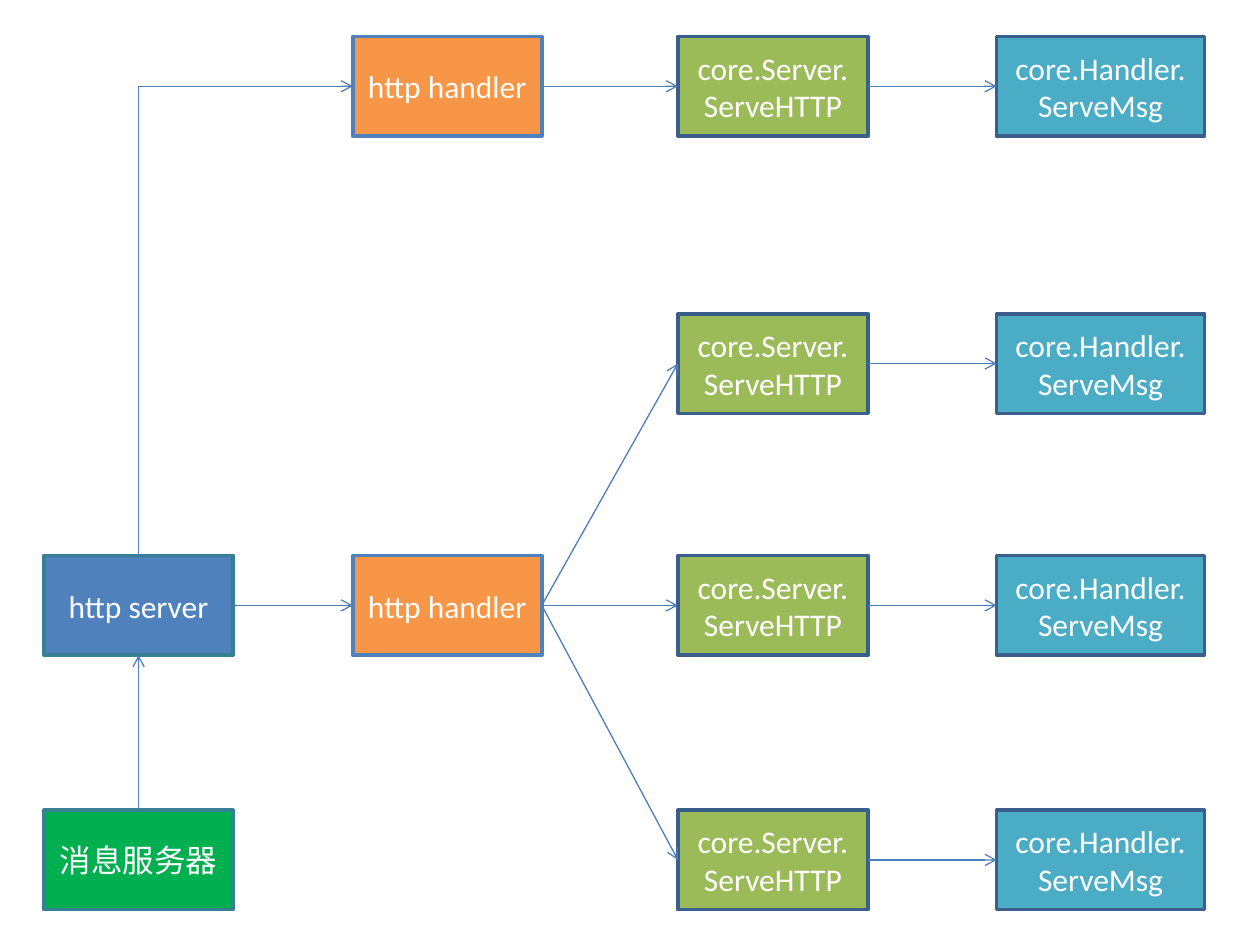
import pptx
import pptx.util
import pptx.dml.color
import pptx.enum.shapes
import pptx.enum.text
import pptx.oxml.ns
import lxml.etree

RGBColor = pptx.dml.color.RGBColor
Inches = pptx.util.Inches
qn = pptx.oxml.ns.qn

WHITE = RGBColor(0xFF, 0xFF, 0xFF)
BLUE = RGBColor(0x4F, 0x81, 0xBD)
ORANGE = RGBColor(0xF7, 0x96, 0x46)
OLIVE = RGBColor(0x9B, 0xBB, 0x59)
AQUA = RGBColor(0x4B, 0xAC, 0xC6)
GREEN = RGBColor(0x00, 0xB0, 0x50)
TEAL = RGBColor(0x37, 0x7F, 0x92)
NAVY = RGBColor(0x3A, 0x5F, 0x8C)
ARROW_BLUE = RGBColor(0x4B, 0x7E, 0xBC)

# Grid in inches: (left, width) of each column, top of each row
COLUMNS = [(0.35, 1.5), (2.8, 1.5), (5.38, 1.51), (7.91, 1.65)]
ROWS = [0.29, 2.49, 4.41, 6.43]
BOX_HEIGHT = 0.79

# Connection sites of a process box
TOP, LEFT, BOTTOM, RIGHT = range(4)


def write(frame, text, size=18, font="Calibri", color=WHITE):
    """Fill a text frame with centred lines, one paragraph per line."""
    frame.word_wrap = True
    frame.vertical_anchor = pptx.enum.text.MSO_ANCHOR.MIDDLE
    for number, line in enumerate(text.split("\n")):
        paragraph = frame.add_paragraph() if number else frame.paragraphs[0]
        paragraph.alignment = pptx.enum.text.PP_ALIGN.CENTER
        run = paragraph.add_run()
        run.text = line
        run.font.size = pptx.util.Pt(size)
        run.font.name = font
        run.font.color.rgb = color


class FlowChart:
    """Holds the style and the current slide."""

    border = pptx.util.Pt(2)
    thin = pptx.util.Pt(0.75)

    def __init__(self, slide):
        self.shapes = slide.shapes

    def box(self, column, row, text, fill, line):
        left, width = COLUMNS[column]
        box = self.shapes.add_shape(
            pptx.enum.shapes.MSO_SHAPE.FLOWCHART_PROCESS,
            Inches(left), Inches(ROWS[row]), Inches(width), Inches(BOX_HEIGHT))
        box.shadow.inherit = False
        box.fill.solid()
        box.fill.fore_color.rgb = fill
        box.line.color.rgb = line
        box.line.width = self.border
        write(box.text_frame, text)
        return box

    def arrow(self, source, target, start=RIGHT, end=LEFT,
              kind=pptx.enum.shapes.MSO_CONNECTOR.STRAIGHT):
        arrow = self.shapes.add_connector(kind, 0, 0, 0, 0)
        arrow.begin_connect(source, start)
        arrow.end_connect(target, end)
        arrow.line.color.rgb = ARROW_BLUE
        arrow.line.width = self.thin
        outline = arrow.line._get_or_add_ln()
        lxml.etree.SubElement(outline, qn("a:tailEnd"), type="arrow")
        lxml.etree.SubElement(arrow.element.spPr, qn("a:effectLst"))
        return arrow

    def up_and_right(self, source, target):
        """One-bend arrow from the top of source to the left of target."""
        arrow = self.arrow(source, target, start=TOP,
                           kind=pptx.enum.shapes.MSO_CONNECTOR.ELBOW)
        run, rise = arrow.width, arrow.height
        middle_x, middle_y = arrow.left + run // 2, arrow.top + rise // 2
        # The preset is stored lying down, then turned by a quarter
        arrow.left, arrow.top = middle_x - rise // 2, middle_y - run // 2
        arrow.width, arrow.height = rise, run
        properties = arrow.element.spPr
        properties.find(qn("a:prstGeom")).set("prst", "bentConnector2")
        frame = properties.find(qn("a:xfrm"))
        for name, value in (("rot", "5400000"), ("flipH", "1"), ("flipV", "1")):
            frame.set(name, value)


deck = pptx.Presentation()
deck.slide_width, deck.slide_height = Inches(10), Inches(7.5)
chart = FlowChart(deck.slides.add_slide(deck.slide_layouts[6]))

# Message source and web server
message_server = chart.box(0, 3, "消息服务器", GREEN, TEAL)
http_server = chart.box(0, 2, "http server", BLUE, TEAL)
chart.arrow(message_server, http_server, start=TOP, end=BOTTOM)

# Two handlers behind the server
single_handler, shared_handler = [
    chart.box(1, row, "http handler", ORANGE, BLUE) for row in (0, 2)]
chart.up_and_right(http_server, single_handler)
chart.arrow(http_server, shared_handler)

# Each row: core server passes its messages to a core handler
for row in range(len(ROWS)):
    core_server = chart.box(2, row, "core.Server.\nServeHTTP", OLIVE, NAVY)
    core_handler = chart.box(3, row, "core.Handler.\nServeMsg", AQUA, NAVY)
    chart.arrow(shared_handler if row else single_handler, core_server)
    chart.arrow(core_server, core_handler)

deck.save("out.pptx")
